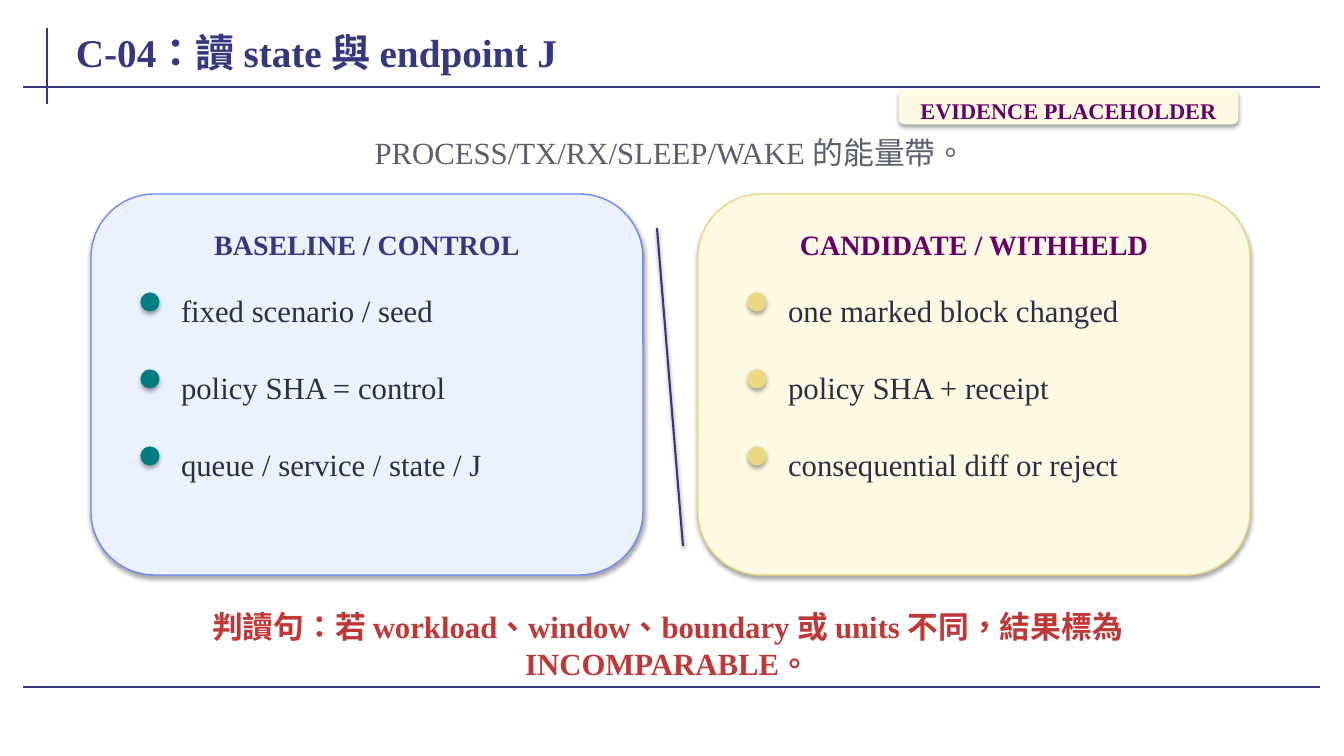
from lxml import etree
from pptx import Presentation
from pptx.dml.color import RGBColor
from pptx.enum.shapes import MSO_CONNECTOR, MSO_SHAPE
from pptx.enum.text import MSO_ANCHOR, PP_ALIGN
from pptx.oxml.ns import qn
from pptx.util import Emu, Pt

STRAIGHT = MSO_CONNECTOR.STRAIGHT
ROUNDED = MSO_SHAPE.ROUNDED_RECTANGLE
OVAL = MSO_SHAPE.OVAL
LEFT, CENTER = PP_ALIGN.LEFT, PP_ALIGN.CENTER
TOP, MIDDLE = MSO_ANCHOR.TOP, MSO_ANCHOR.MIDDLE

NAVY = RGBColor(0x35, 0x37, 0x7F)
PURPLE = RGBColor(0x66, 0x00, 0x66)
GRAY = RGBColor(0x5A, 0x5E, 0x6F)
INK = RGBColor(0x2B, 0x2E, 0x41)
RED = RGBColor(0xC0, 0x37, 0x37)
TEAL = RGBColor(0x00, 0x7D, 0x80)
BLUE = RGBColor(0x6F, 0x89, 0xF7)
PALE_BLUE = RGBColor(0xEC, 0xF1, 0xFE)
GOLD = RGBColor(0xEC, 0xD8, 0x82)
CREAM = RGBColor(0xFD, 0xF9, 0xE2)

FONT = "Times New Roman"
TITLE = "C-04：讀 state 與 endpoint J"
BADGE = "EVIDENCE PLACEHOLDER"
SUBTITLE = "PROCESS/TX/RX/SLEEP/WAKE 的能量帶。"
VERDICT = "判讀句：若 workload、window、boundary 或 units 不同，結果標為 INCOMPARABLE。"
PANELS = [
    ("BASELINE / CONTROL", NAVY, PALE_BLUE, BLUE, TEAL,
     ["fixed scenario / seed", "policy SHA = control", "queue / service / state / J"]),
    ("CANDIDATE / WITHHELD", PURPLE, CREAM, GOLD, GOLD,
     ["one marked block changed", "policy SHA + receipt", "consequential diff or reject"]),
]
FRAME_LINES = [(47, 28, 47, 104), (23, 87, 1320, 87), (23, 687, 1320, 687)]
PANEL_LEFT, PANEL_TOP, PANEL_WIDTH, PANEL_HEIGHT = 91, 194, 552, 381
PANEL_STEP = 607
ROW_TOP, ROW_STEP = 287, 77


def px(value):
    return Emu(round(value * 914400 / 100.8))


def add_shadow(shape, opacity, distance):
    properties = shape._element.spPr
    for old in properties.findall(qn("a:effectLst")):
        properties.remove(old)
    effects = etree.SubElement(properties, qn("a:effectLst"))
    if opacity:
        shadow = etree.SubElement(effects, qn("a:outerShdw"), blurRad=str(Pt(3.1)),
                                  dist=str(Pt(distance)), dir="5400000", rotWithShape="0")
        color = etree.SubElement(shadow, qn("a:srgbClr"), val="000000")
        etree.SubElement(color, qn("a:alpha"), val=str(opacity * 1000))


def add_line(slide, ends, opacity=0):
    line = slide.shapes.add_connector(STRAIGHT, *map(px, ends))
    line.line.color.rgb = NAVY
    line.line.width = Pt(1.5)
    add_shadow(line, opacity, 1.6)


def add_shape(slide, kind, box, fill, outline, width):
    shape = slide.shapes.add_shape(kind, *map(px, box))
    shape.shadow.inherit = False
    shape.fill.solid()
    shape.fill.fore_color.rgb = fill
    shape.line.color.rgb = outline
    shape.line.width = Pt(width)
    add_shadow(shape, 35, 1.8)


def add_text(slide, text, box, size, color, bold=False, align=CENTER, anchor=TOP):
    frame = slide.shapes.add_textbox(*map(px, box)).text_frame
    frame.word_wrap = True
    frame.vertical_anchor = anchor
    frame.margin_left = frame.margin_right = px(8)
    frame.margin_top, frame.margin_bottom = px(5), px(4)
    paragraph = frame.paragraphs[0]
    paragraph.alignment = align
    paragraph.space_after = Pt(2)
    run = paragraph.add_run()
    run.text = text
    run._r.get_or_add_rPr().set("lang", "zh-TW")
    font = paragraph.font
    font.name, font.size, font.bold = FONT, Pt(size), bold
    font.color.rgb = color


def add_panel(slide, left, panel):
    heading, heading_color, fill, outline, dot_color, rows = panel
    add_shape(slide, ROUNDED, (left, PANEL_TOP, PANEL_WIDTH, PANEL_HEIGHT), fill, outline, 1)
    add_text(slide, heading, (left + 28, 222, PANEL_WIDTH - 56, 34), 20, heading_color, True)
    for index, row in enumerate(rows):
        top = ROW_TOP + index * ROW_STEP
        add_shape(slide, OVAL, (left + 50, top + 6, 18, 18), dot_color, dot_color, 0.75)
        add_text(slide, row, (left + 82, top, 423, 40), 22, INK, align=LEFT)


def main():
    presentation = Presentation()
    presentation.slide_width, presentation.slide_height = px(1344), px(756)
    slide = presentation.slides.add_slide(presentation.slide_layouts[6])
    for ends in FRAME_LINES:
        add_line(slide, ends)
    add_text(slide, TITLE, (68, 19, 1210, 64), 28, NAVY, True, LEFT, MIDDLE)
    add_shape(slide, ROUNDED, (899, 90, 339, 34), CREAM, CREAM, 0.5)
    add_text(slide, BADGE, (904, 92, 329, 27), 16, PURPLE, True)
    add_text(slide, SUBTITLE, (91, 129, 1159, 44), 22, GRAY)
    for index, panel in enumerate(PANELS):
        add_panel(slide, PANEL_LEFT + index * PANEL_STEP, panel)
    add_line(slide, (657, 228, 683, 546), 38)
    add_text(slide, VERDICT, (103, 603, 1129, 34), 22, RED, True)
    presentation.save("out.pptx")


if __name__ == "__main__":
    main()
